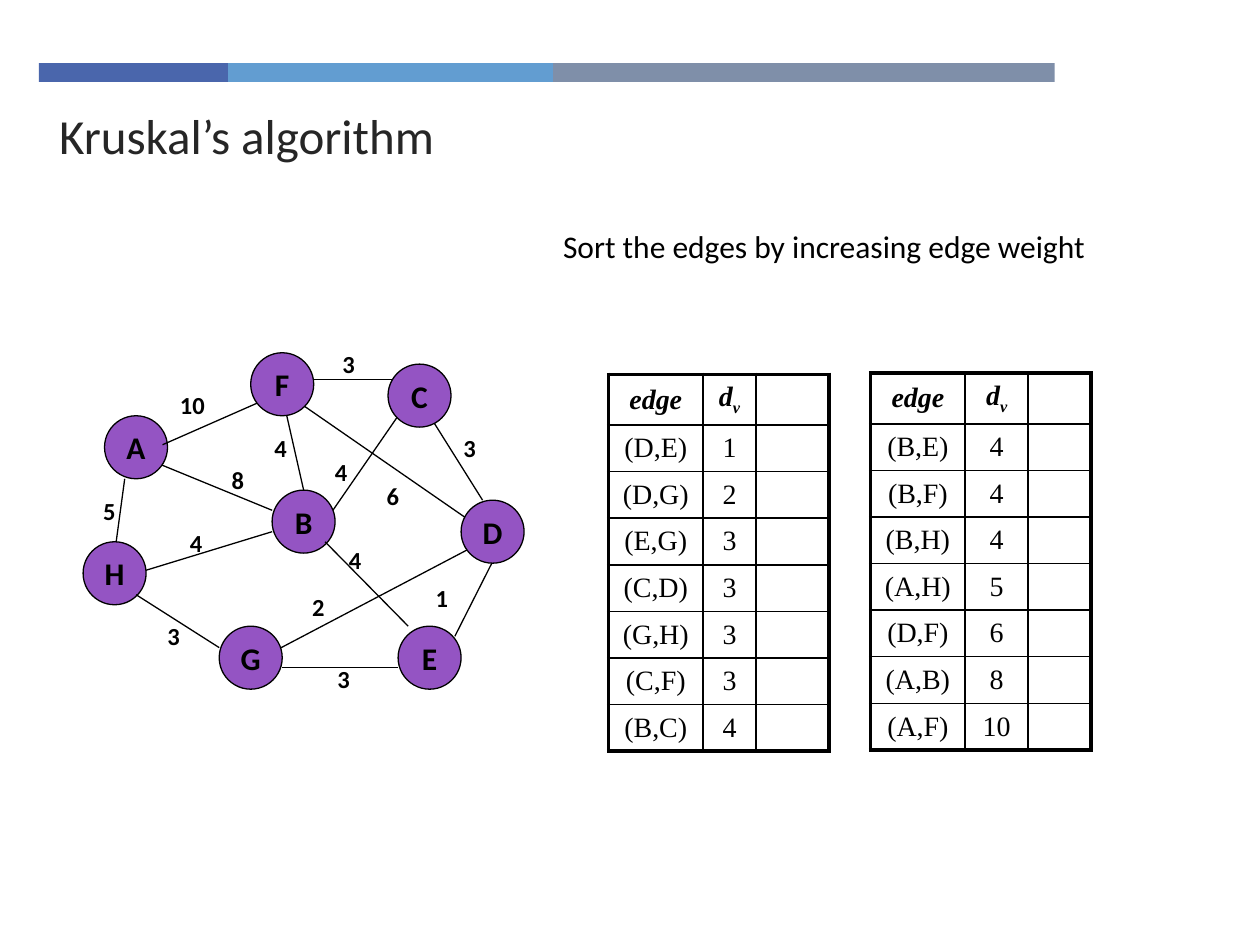
from lxml.etree import SubElement
from pptx import Presentation
from pptx.dml.color import RGBColor
from pptx.enum.shapes import MSO_CONNECTOR, MSO_SHAPE
from pptx.enum.text import MSO_ANCHOR, PP_ALIGN
from pptx.oxml.ns import qn
from pptx.util import Inches, Pt

BLACK = RGBColor(0x00, 0x00, 0x00)
TITLE_GREY = RGBColor(0x26, 0x26, 0x26)
NODE_PURPLE = RGBColor(0x94, 0x54, 0xC3)
BAND_BLUE = RGBColor(0x4A, 0x66, 0xAC)
BAND_SKY = RGBColor(0x62, 0x9D, 0xD1)
BAND_GREY = RGBColor(0x7F, 0x8F, 0xA9)

NODE_SIZE = 0.5
LABEL_HEIGHT = 0.33
HEADER_HEIGHT, ROW_HEIGHT = 0.4, 0.37
INNER_BORDER, OUTER_BORDER = Pt(1), Pt(2.25)

BANDS = [(1.5, BAND_BLUE), (2.58, BAND_SKY), (3.98, BAND_GREY)]

# Node positions, relative to the graph box
NODES = {
    "A": (0.33, 0.8), "H": (0.16, 1.8), "B": (1.66, 1.39), "F": (1.49, 0.3),
    "E": (2.66, 2.47), "D": (3.16, 1.47), "C": (2.58, 0.39), "G": (1.24, 2.47),
}

# Weight, start, end, label position and label width of each edge
EDGES_BEHIND = [
    ("5", (0.41, 1.89), (0.49, 1.3), (0.22, 1.39), 0.33),
    ("1", (3.53, 1.72), (3.11, 2.55), (2.86, 2.08), 0.52),
    ("4", (1.74, 0.64), (1.91, 1.39), (1.58, 0.89), 0.33),
    ("4", (2.08, 1.64), (2.66, 0.8), (2.06, 1.08), 0.33),
    ("6", (3.24, 1.64), (1.91, 0.72), (2.47, 1.27), 0.52),
    ("4", (0.58, 2.05), (1.66, 1.72), (0.91, 1.64), 0.33),
    ("2", (1.58, 2.72), (3.33, 1.8), (1.88, 2.15), 0.33),
    ("8", (0.66, 1.14), (1.66, 1.55), (1.24, 1.14), 0.33),
    ("3", (1.96, 0.51), (2.62, 0.51), (2.12, 0.22), 0.33),
    ("3", (2.91, 0.8), (3.33, 1.47), (3.08, 0.89), 0.33),
]
EDGES_IN_FRONT = [
    ("4", (2.08, 1.8), (2.74, 2.47), (2.17, 1.78), 0.52),
    ("3", (2.66, 2.8), (1.74, 2.8), (2.08, 2.72), 0.33),
    ("3", (1.24, 2.64), (0.58, 2.22), (0.73, 2.38), 0.33),
    ("10", (0.79, 1.03), (1.54, 0.7), (0.83, 0.55), 0.52),
]

LIGHT_EDGES = [("(D,E)", "1"), ("(D,G)", "2"), ("(E,G)", "3"), ("(C,D)", "3"),
               ("(G,H)", "3"), ("(C,F)", "3"), ("(B,C)", "4")]
HEAVY_EDGES = [("(B,E)", "4"), ("(B,F)", "4"), ("(B,H)", "4"), ("(A,H)", "5"),
               ("(D,F)", "6"), ("(A,B)", "8"), ("(A,F)", "10")]


def add_run(paragraph, text, color=BLACK, **font_format):
    run = paragraph.add_run()
    run.text = text
    run.font.color.rgb = color
    for attribute, value in font_format.items():
        setattr(run.font, attribute, value)
    return run


def add_text(slide, text, left, top, width, height, **font_format):
    box = slide.shapes.add_textbox(*map(Inches, (left, top, width, height)))
    box.text_frame.word_wrap = True
    box.text_frame.vertical_anchor = MSO_ANCHOR.MIDDLE
    add_run(box.text_frame.paragraphs[0], text, name="Calibri", **font_format)


def add_bands(slide, left, top, height):
    for width, color in BANDS:
        band = slide.shapes.add_shape(
            MSO_SHAPE.RECTANGLE, *map(Inches, (left, top, width, height)))
        band.shadow.inherit = False
        band.fill.solid()
        band.fill.fore_color.rgb = color
        band.line.fill.background()
        left += width


def add_title(slide, text, left, top, width, height):
    title = slide.shapes.title
    title.left, title.top, title.width, title.height = map(
        Inches, (left, top, width, height))
    title.text_frame.vertical_anchor = MSO_ANCHOR.MIDDLE
    paragraph = title.text_frame.paragraphs[0]
    paragraph.alignment = PP_ALIGN.LEFT
    add_run(paragraph, text, TITLE_GREY, name="Calibri", size=Pt(28))


def add_edge(slide, left, top, weight, start, end, label, label_width):
    ends = [origin + offset for point in (start, end)
            for origin, offset in zip((left, top), point)]
    edge = slide.shapes.add_connector(MSO_CONNECTOR.STRAIGHT, *map(Inches, ends))
    edge.line.color.rgb = BLACK
    edge.line.width = Pt(0.75)
    SubElement(edge._element.spPr, qn("a:effectLst"))
    add_text(slide, weight, left + label[0], top + label[1],
             label_width, LABEL_HEIGHT, size=Pt(14), bold=True)


def add_node(slide, letter, left, top):
    node = slide.shapes.add_shape(
        MSO_SHAPE.OVAL, *map(Inches, (left, top, NODE_SIZE, NODE_SIZE)))
    node.shadow.inherit = False
    node.fill.solid()
    node.fill.fore_color.rgb = NODE_PURPLE
    node.line.color.rgb = BLACK
    node.line.width = Pt(0.75)
    frame = node.text_frame
    frame.word_wrap = False
    frame.vertical_anchor = MSO_ANCHOR.MIDDLE
    frame.paragraphs[0].alignment = PP_ALIGN.CENTER
    add_run(frame.paragraphs[0], letter, name="Calibri", size=Pt(18), bold=True)


def add_graph(slide, left, top):
    for edge in EDGES_BEHIND:
        add_edge(slide, left, top, *edge)
    for letter, (x, y) in NODES.items():
        add_node(slide, letter, left + x, top + y)
    for edge in EDGES_IN_FRONT:
        add_edge(slide, left, top, *edge)


def set_borders(cell, outer_sides):
    properties = cell._tc.get_or_add_tcPr()
    for side in "LRTB":
        width = OUTER_BORDER if side in outer_sides else INNER_BORDER
        border = SubElement(properties, qn(f"a:ln{side}"), w=str(width))
        fill = SubElement(border, qn("a:solidFill"))
        SubElement(fill, qn("a:srgbClr"), val=str(BLACK))


def add_edge_table(slide, edges, left, top, column_widths):
    rows = [("edge", "d", ""), *((*edge, "") for edge in edges)]
    heights = [HEADER_HEIGHT] + [ROW_HEIGHT] * len(edges)
    table = slide.shapes.add_table(
        len(rows), len(column_widths), Inches(left), Inches(top),
        Inches(sum(column_widths)), Inches(sum(heights))).table
    table.first_row = table.horz_banding = False
    for column, width in zip(table.columns, column_widths):
        column.width = Inches(width)
    for r, (row, height) in enumerate(zip(rows, heights)):
        table.rows[r].height = Inches(height)
        header = r == 0
        style = dict(name="Times New Roman", size=Pt(16), bold=header, italic=header)
        for c, text in enumerate(row):
            cell = table.cell(r, c)
            outer = {"T": r == 0, "B": r == len(rows) - 1,
                     "L": c == 0, "R": c == len(row) - 1}
            set_borders(cell, [side for side, is_outer in outer.items() if is_outer])
            cell.fill.background()
            cell.vertical_anchor = MSO_ANCHOR.MIDDLE
            paragraph = cell.text_frame.paragraphs[0]
            paragraph.alignment = PP_ALIGN.CENTER
            paragraph.font.size = Pt(16)
            if text:
                add_run(paragraph, text, **style)
            if text == "d":
                subscript = add_run(paragraph, "v", **style)
                subscript.font._element.set("baseline", "-25000")


def main():
    presentation = Presentation()
    presentation.slide_width, presentation.slide_height = Inches(10), Inches(7.5)
    slide = presentation.slides.add_slide(presentation.slide_layouts[5])
    add_bands(slide, 0.31, 0.5, 0.15)
    add_title(slide, "Kruskal’s algorithm", 0.37, 0.8, 7.16, 0.54)
    add_text(slide, "Sort the edges by increasing edge weight",
             4.37, 1.74, 4.95, 0.43, size=Pt(18))
    add_graph(slide, 0.5, 2.5)
    add_edge_table(slide, LIGHT_EDGES, 4.83, 2.97, (0.75, 0.42, 0.58))
    add_edge_table(slide, HEAVY_EDGES, 6.91, 2.96, (0.75, 0.5, 0.5))
    presentation.save("out.pptx")


if __name__ == "__main__":
    main()
